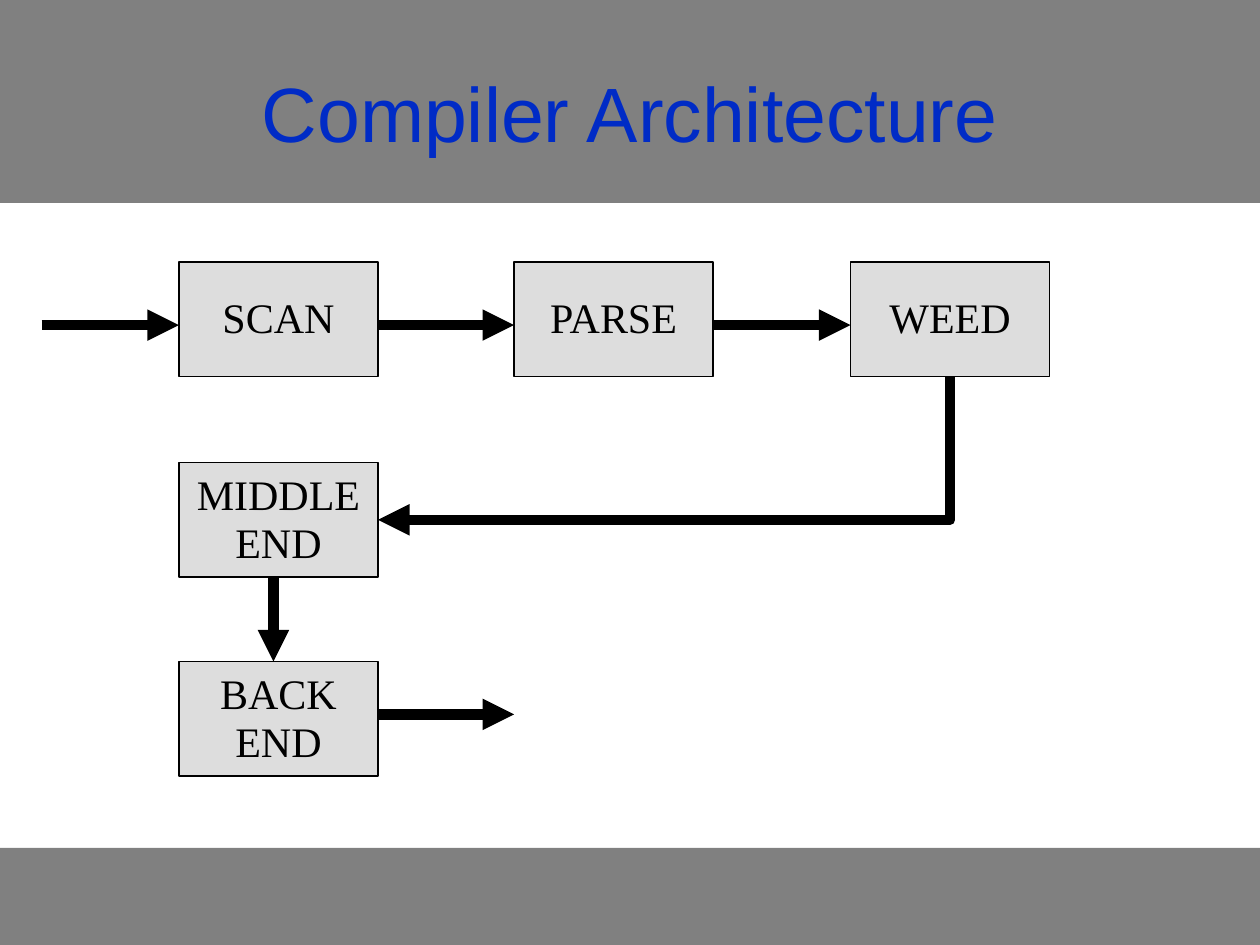
from lxml import etree
from pptx import Presentation
from pptx.dml.color import RGBColor
from pptx.enum.shapes import MSO_CONNECTOR, MSO_SHAPE
from pptx.enum.text import MSO_ANCHOR, PP_ALIGN
from pptx.oxml.ns import qn
from pptx.util import Inches, Pt

RECTANGLE = MSO_SHAPE.RECTANGLE
STRAIGHT, ELBOW = MSO_CONNECTOR.STRAIGHT, MSO_CONNECTOR.ELBOW
MIDDLE, CENTER = MSO_ANCHOR.MIDDLE, PP_ALIGN.CENTER

GRAY = RGBColor(0x80, 0x80, 0x80)
LIGHT_GRAY = RGBColor(0xDD, 0xDD, 0xDD)
BLUE = RGBColor(0x00, 0x2B, 0xC6)
BLACK = RGBColor(0x00, 0x00, 0x00)

TITLE_FONT = {"name": "Arial", "size": Pt(44)}
BOX_FONT = {"name": "Times New Roman", "size": Pt(24)}


def write_centered(shape, text, font_format, color):
    frame = shape.text_frame
    frame.word_wrap = True
    frame.vertical_anchor = MIDDLE
    paragraph = frame.paragraphs[0]
    paragraph.text = text
    paragraph.alignment = CENTER
    paragraph.line_spacing = 0.95
    for name, value in font_format.items():
        setattr(paragraph.font, name, value)
    paragraph.font.color.rgb = color


def add_arrow(kind, start_x, start_y, end_x, end_y):
    arrow = slide.shapes.add_connector(
        kind, Inches(start_x), Inches(start_y), Inches(end_x), Inches(end_y))
    arrow.line.color.rgb = BLACK
    arrow.line.width = Pt(6)
    etree.SubElement(arrow.line._get_or_add_ln(), qn("a:tailEnd"), type="triangle")
    etree.SubElement(arrow._element.spPr, qn("a:effectLst"))
    return arrow


presentation = Presentation()
presentation.slide_width = Inches(10)
presentation.slide_height = Inches(7.5)
slide = presentation.slides.add_slide(presentation.slide_layouts[5])

# Title on its band
title = slide.shapes.title
title.left, title.top = Inches(0.5), Inches(0.3)
title.width, title.height = Inches(9), Inches(1.25)
write_centered(title, "Compiler Architecture", TITLE_FONT, BLUE)

for top, height in ((0, 1.61), (6.73, 0.77)):
    band = slide.shapes.add_shape(
        RECTANGLE, 0, Inches(top), presentation.slide_width, Inches(height))
    band.shadow.inherit = False
    band.fill.solid()
    band.fill.fore_color.rgb = GRAY
    band.line.fill.background()
    slide.shapes._spTree.insert(2, band._element)  # behind the title

# Compiler phases on a grid of columns and rows
BOX_WIDTH, BOX_HEIGHT = 1.58, 0.91
COLUMNS = (1.42, 4.08, 6.75)
ROWS = (2.08, 3.67, 5.25)
PHASES = (
    ("SCAN", 0, 0), ("PARSE", 1, 0), ("WEED", 2, 0),
    ("MIDDLE END", 0, 1), ("BACK END", 0, 2),
)
boxes = {}
for phase, column, row in PHASES:
    box = slide.shapes.add_shape(
        RECTANGLE, Inches(COLUMNS[column]), Inches(ROWS[row]),
        Inches(BOX_WIDTH), Inches(BOX_HEIGHT))
    box.shadow.inherit = False
    box.fill.solid()
    box.fill.fore_color.rgb = LIGHT_GRAY
    box.line.color.rgb = BLACK
    box.line.width = Pt(0.75)
    write_centered(box, phase, BOX_FONT, BLACK)
    boxes[phase] = box

# Straight arrows, slightly off the middles of the boxes
first_right = COLUMNS[0] + BOX_WIDTH
for start_x, end_x, y in (
    (0.33, COLUMNS[0], 2.58),
    (first_right, COLUMNS[1], 2.58),
    (COLUMNS[1] + BOX_WIDTH, COLUMNS[2], 2.58),
    (first_right, COLUMNS[1], 5.67),
):
    add_arrow(STRAIGHT, start_x, y, end_x, y)
add_arrow(STRAIGHT, 2.17, ROWS[1] + BOX_HEIGHT, 2.17, ROWS[2])

# One-bend arrow: a bentConnector2 turned by 90 degrees about its centre
start_x, start_y = COLUMNS[2] + BOX_WIDTH / 2, ROWS[0] + BOX_HEIGHT
end_x, end_y = first_right, ROWS[1] + BOX_HEIGHT / 2
run, drop = start_x - end_x, end_y - start_y
bend = add_arrow(ELBOW, start_x, start_y, end_x, end_y)
bend.begin_connect(boxes["WEED"], 2)
bend.end_connect(boxes["MIDDLE END"], 3)
bend.left = Inches((start_x + end_x - drop) / 2)
bend.top = Inches((start_y + end_y - run) / 2)
bend.width, bend.height = Inches(drop), Inches(run)
transform = bend._element.spPr.find(qn("a:xfrm"))
transform.attrib.pop("flipH", None)
transform.set("rot", str(90 * 60000))
bend._element.spPr.find(qn("a:prstGeom")).set("prst", "bentConnector2")

presentation.save("out.pptx")
